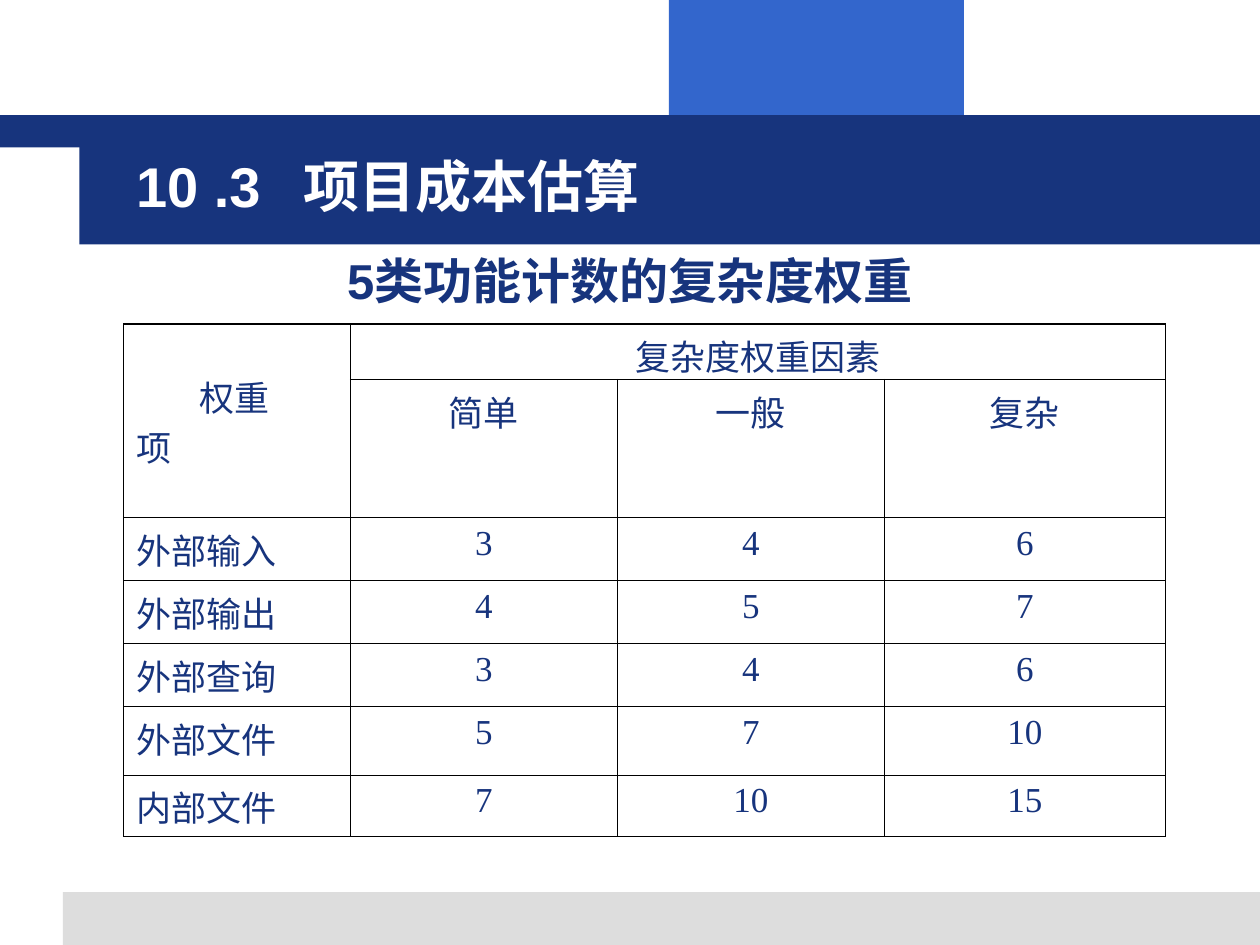
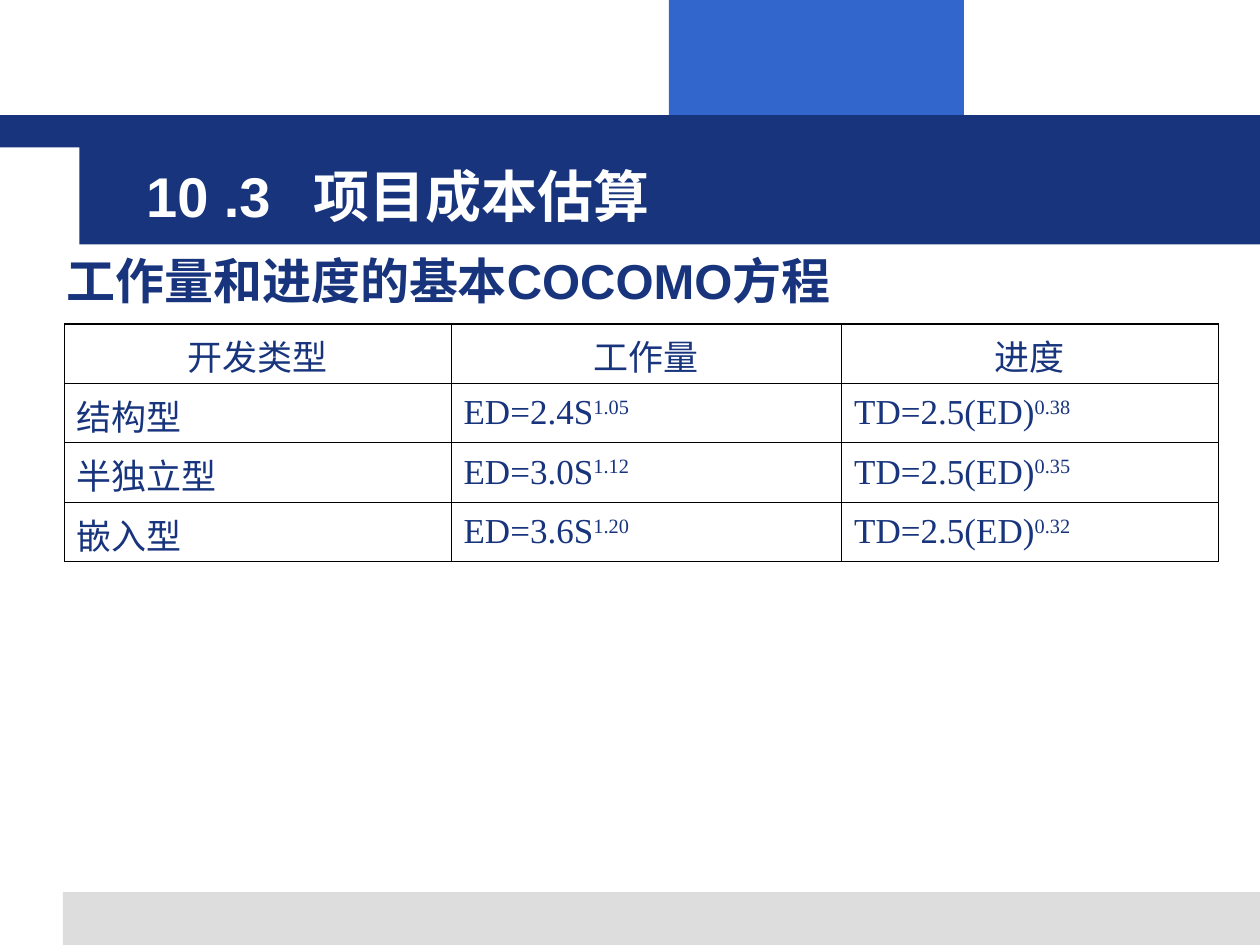
from lxml.etree import SubElement
from pptx import Presentation
from pptx.dml.color import RGBColor
from pptx.enum.shapes import MSO_SHAPE
from pptx.enum.text import MSO_ANCHOR, MSO_AUTO_SIZE, PP_ALIGN
from pptx.oxml import parse_xml
from pptx.oxml.ns import nsdecls, qn
from pptx.util import Inches, Pt

NAVY, BLUE, GREY, WHITE, BLACK = "17347D", "3366CC", "DDDDDD", "FFFFFF", "000000"
HEADING_FONT, TABLE_FONT = "Arial", "Times New Roman"
LEFT, CENTER = PP_ALIGN.LEFT, PP_ALIGN.CENTER

presentation = Presentation()
presentation.slide_width = Inches(10)
presentation.slide_height = Inches(7.5)

# Page grid: 100 columns by 75 rows
COLUMN = presentation.slide_width // 100
ROW = presentation.slide_height // 75


def place(left, top, width, height):
    """Turn grid columns and rows into a position and size."""
    return [round(length) for length in
            (left * COLUMN, top * ROW, width * COLUMN, height * ROW)]


def write(paragraph, text, font=TABLE_FONT, size=20, color=NAVY, bold=False, align=LEFT):
    """Add text to a paragraph; whatever follows ^ is raised."""
    paragraph.alignment = align
    for index, part in enumerate(text.split("^")):
        run = paragraph.add_run()
        run.text = part
        run.font.name = font
        run.font.size = Pt(size)
        run.font.bold = bold
        run.font.color.rgb = RGBColor.from_string(color)
        if index:
            run._r.get_or_add_rPr().set("baseline", "30000")


# What differs between the two slides
pages = [
    {
        "title_at": (9.8, 11.5),
        "heading": "5类功能计数的复杂度权重",
        "heading_at": (0, 19.4, 100, 5.7),
        "heading_align": CENTER,
        "table_left": 9.8,
        "columns": [18, 21.2, 21.2, 22.3],
        "rows": [4.4, 11, 5, 5, 5, 5.4, 4.9],
        "merges": [((0, 0), (1, 0)), ((0, 1), (0, 3))],
        "anchor": MSO_ANCHOR.TOP,
        "centered": lambda row, column: column > 0,
        "cells": [
            ["权重\n项", "复杂度权重因素", "", ""],
            ["", "简单", "一般", "复杂"],
            ["外部输入", "3", "4", "6"],
            ["外部输出", "4", "5", "7"],
            ["外部查询", "3", "4", "6"],
            ["外部文件", "5", "7", "10"],
            ["内部文件", "7", "10", "15"],
        ],
    },
    {
        "title_at": (10.6, 12.3),
        "heading": "工作量和进度的基本COCOMO方程",
        "heading_at": (4.3, 19.4, 95.7, 5.7),
        "heading_align": LEFT,
        "table_left": 5.1,
        "columns": [30.7, 31, 29.9],
        "rows": [4.72] * 4,
        "merges": [],
        "anchor": MSO_ANCHOR.MIDDLE,
        "centered": lambda row, column: row == 0,
        "cells": [
            ["开发类型", "工作量", "进度"],
            ["结构型", "ED=2.4S^1.05", "TD=2.5(ED)^0.38"],
            ["半独立型", "ED=3.0S^1.12", "TD=2.5(ED)^0.35"],
            ["嵌入型", "ED=3.6S^1.20", "TD=2.5(ED)^0.32"],
        ],
    },
]
bands = [
    (BLUE, (53.1, 0, 23.4, 9.2)),
    (GREY, (5, 70.8, 95, 4.2)),
    (NAVY, (0, 9.15, 100, 2.55)),
    (NAVY, (6.3, 9.15, 93.7, 10.25)),
]
layout = presentation.slide_layouts.get_by_name("Title Only")
slides = [presentation.slides.add_slide(layout) for page in pages]

# Bands shared by every slide, kept on the layout
for color, box in bands:
    band = slides[0].shapes.add_shape(MSO_SHAPE.RECTANGLE, *place(*box))
    band.shadow.inherit = False
    band.fill.solid()
    band.fill.fore_color.rgb = RGBColor.from_string(color)
    band.line.fill.background()
    layout.shapes.element.append(band.element)

for slide, page in zip(slides, pages):
    # Title, with a tab between number and name
    title = slide.shapes.title
    title.left, title.top, title.width, title.height = place(*page["title_at"], 75.6, 6.4)
    title.text_frame.auto_size = MSO_AUTO_SIZE.NONE
    title.text_frame.vertical_anchor = MSO_ANCHOR.TOP
    paragraph = title.text_frame.paragraphs[0]
    tab_list = SubElement(paragraph._p.get_or_add_pPr(), qn("a:tabLst"))
    SubElement(tab_list, qn("a:tab"), pos=str(Inches(1.33)), algn="l")
    write(paragraph, "10 .3\t项目成本估算", font=HEADING_FONT, size=32, color=WHITE, bold=True)

    # Heading above the table
    heading = slide.shapes.add_textbox(*place(*page["heading_at"]))
    heading.text_frame.word_wrap = True
    write(heading.text_frame.paragraphs[0], page["heading"], font=HEADING_FONT,
          size=28, bold=True, align=page["heading_align"])

    # Table
    columns, rows = page["columns"], page["rows"]
    box = place(page["table_left"], 25.7, sum(columns), sum(rows))
    table = slide.shapes.add_table(len(rows), len(columns), *box).table
    table.first_row = table.horz_banding = False
    for index, width in enumerate(columns):
        table.columns[index].width = round(width * COLUMN)
    for index, height in enumerate(rows):
        table.rows[index].height = round(height * ROW)
    for first, last in page["merges"]:
        table.cell(*first).merge(table.cell(*last))

    for row, texts in enumerate(page["cells"]):
        for column, text in enumerate(texts):
            cell = table.cell(row, column)
            if cell.is_spanned:
                continue
            cell.vertical_anchor = page["anchor"]
            cell.fill.background()
            align = CENTER if page["centered"](row, column) else LEFT
            for index, line in enumerate(text.split("\n")):
                if index:
                    cell.text_frame.add_paragraph()
                write(cell.text_frame.paragraphs[index], line, align=align)

            # Thin inner borders, thinner sides, thick top and bottom
            last_row = row + (cell.span_height if cell.is_merge_origin else 1)
            last_column = column + (cell.span_width if cell.is_merge_origin else 1)
            borders = [
                ("lnL", 0.34 if column == 0 else 0.45),
                ("lnR", 0.34 if last_column == len(columns) else 0.45),
                ("lnT", 0.96 if row == 0 else 0.45),
                ("lnB", 0.96 if last_row == len(rows) else 0.45),
            ]
            for index, (edge, width) in enumerate(borders):
                cell._tc.get_or_add_tcPr().insert(index, parse_xml(
                    f'<a:{edge} {nsdecls("a")} w="{Pt(width)}"><a:solidFill>'
                    f'<a:srgbClr val="{BLACK}"/></a:solidFill></a:{edge}>'))

# Corner cell: column label set in to the right, row label below it
corner = slides[0].shapes[-1].table.cell(0, 0)
corner.margin_top = Inches(0.37)
corner.text_frame.paragraphs[0]._p.get_or_add_pPr().set("marL", str(Inches(0.5)))

presentation.save("out.pptx")
